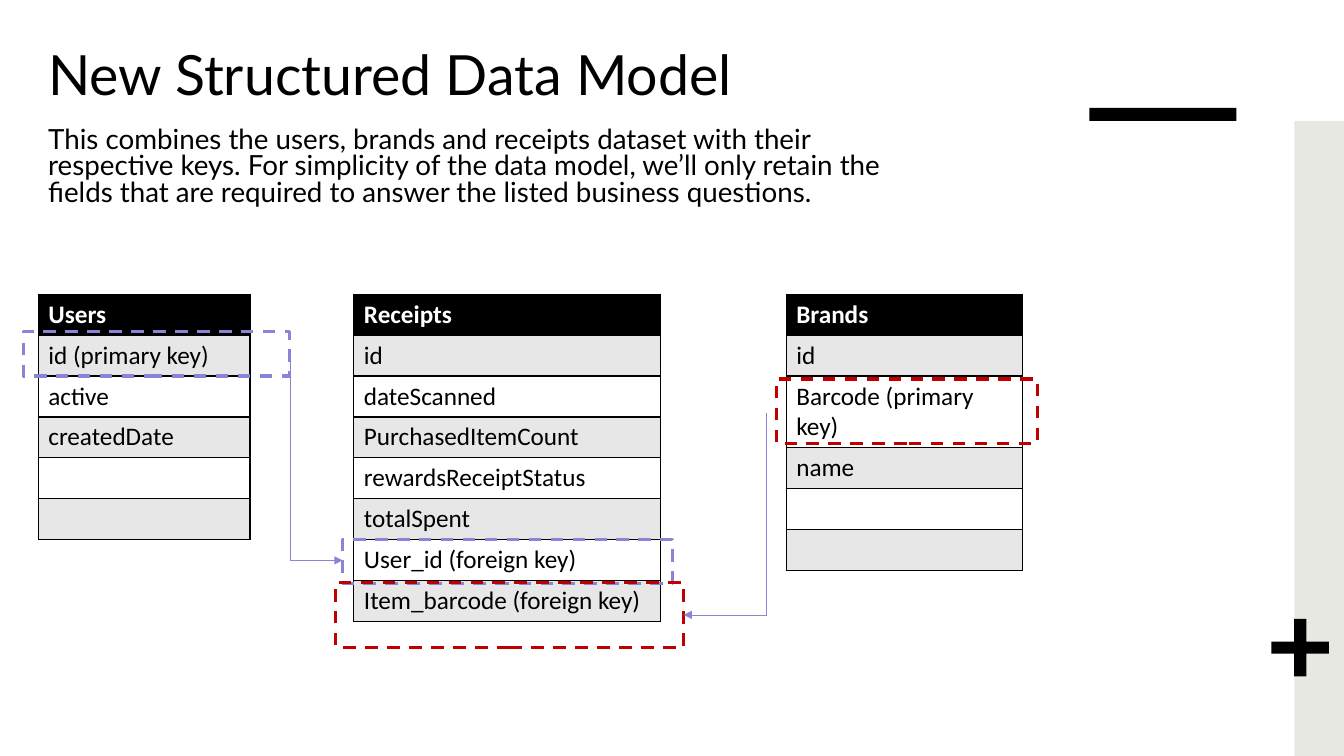
from lxml import etree
from pptx import Presentation
from pptx import util as u
from pptx.dml.color import RGBColor
from pptx.enum import dml, shapes, text
from pptx.oxml.ns import qn

WIDTH, HEIGHT = u.Inches(13.33), u.Inches(7.5)
ROW = 5.41
BLACK, WHITE, BAND, PANEL = "000000", "FFFFFF", "E7E7E7", "E8E8E2"
VIOLET, RED = "8885D7", "C00000"
TABLE_TOP = 38.93

ENTITIES = [
    (2.85, 15.75, ["Users", "id (primary key)", "active", "createdDate", "", ""]),
    (58.5, 17.55, ["Brands", "id", "Barcode (primary key)", "name", "", ""]),
    (26.33, 22.8, ["Receipts", "id", "dateScanned", "PurchasedItemCount",
                   "rewardsReceiptStatus", "totalSpent",
                   "User_id (foreign key)", "Item_barcode (foreign key)"]),
]
KEYS = [
    ((1.73, 43.87, 19.8, 5.87), VIOLET),
    ((25.5, 71.33, 24.53, 5.87), VIOLET),
    ((24.98, 77.07, 25.88, 8.53), RED),
    ((57.76, 50.13, 19.43, 8.53), RED),
]
RELATIONS = [((21.6, 47.33), (25.5, 74.13)), ((57, 54.67), (50.86, 81.33))]


def across(share):
    return int(WIDTH * share / 100)


def down(share):
    return int(HEIGHT * share / 100)


def place(box):
    left, top, width, height = box
    return across(left), down(top), across(width), down(height)


def color(value):
    return RGBColor.from_string(value)


def apply(target, values):
    for name, value in values.items():
        setattr(target, name, value)


def paint(fill, value):
    fill.solid()
    fill.fore_color.rgb = color(value)


def write(paragraph, words, value, **font):
    run = paragraph.add_run()
    run.text = words
    apply(run.font, font)
    run.font.color.rgb = color(value)


def draw_block(slide, kind, box, fill):
    shape = slide.shapes.add_shape(kind, *place(box))
    shape.shadow.inherit = False
    shape.line.fill.background()
    paint(shape.fill, fill)
    return shape


def draw_decoration(slide, box):
    left, top, width, height = box
    kinds = shapes.MSO_SHAPE
    draw_block(slide, kinds.RECTANGLE, (left, top, 10.95, 1.73), BLACK)
    draw_block(slide, kinds.RECTANGLE,
               (left + width - 3.7, top + 1.73, 3.7, height - 1.73), PANEL)
    plus = draw_block(slide, kinds.CROSS,
                      (left + width - 5.4, top + 67.6, 4.28, 7.6), BLACK)
    plus.adjustments[0] = 0.395


def draw_heading(slide, box):
    left, top, width, height = box
    lines = [
        (0, "New Structured Data Model", 39.6, 1.0),
        (11.6, "This combines the users, brands and receipts dataset with their "
               "respective keys. For simplicity of the data model, we’ll only retain "
               "the fields that are required to answer the listed business questions.",
         19.8, 0.8),
    ]
    for offset, words, size, spacing in lines:
        shape = slide.shapes.add_textbox(*place((left, top + offset, width, height - 11.6)))
        apply(shape.text_frame, {"word_wrap": True, "auto_size": text.MSO_AUTO_SIZE.NONE,
                                 "vertical_anchor": text.MSO_ANCHOR.TOP})
        paragraph = shape.text_frame.paragraphs[0]
        paragraph.line_spacing = spacing
        write(paragraph, words, BLACK, size=u.Pt(size), name="Lato")


def draw_borders(cell):
    properties = cell._tc.get_or_add_tcPr()
    for index, side in enumerate(("a:lnL", "a:lnR", "a:lnT", "a:lnB")):
        line = etree.Element(qn(side), w=str(u.Pt(1)))
        fill = etree.SubElement(line, qn("a:solidFill"))
        etree.SubElement(fill, qn("a:srgbClr"), val=BLACK)
        properties.insert(index, line)


def draw_entity(slide, box, rows):
    table = slide.shapes.add_table(len(rows), 1, *place(box)).table
    for index, words in enumerate(rows):
        table.rows[index].height = down(ROW)
        cell = table.cell(index, 0)
        header = index == 0
        paint(cell.fill, BLACK if header else BAND if index % 2 else WHITE)
        draw_borders(cell)
        paragraph = cell.text_frame.paragraphs[0]
        paragraph.font.size = u.Pt(18)
        if words:
            write(paragraph, words, WHITE if header else BLACK,
                  size=u.Pt(18), name="Calibri", bold=header)


def draw_key(slide, box, value):
    shape = slide.shapes.add_shape(shapes.MSO_SHAPE.RECTANGLE, *place(box))
    shape.shadow.inherit = False
    shape.fill.background()
    shape.line.color.rgb = color(value)
    apply(shape.line, {"width": u.Pt(2.25), "dash_style": dml.MSO_LINE.DASH})


def draw_relation(slide, start, end):
    x1, y1, x2, y2 = across(start[0]), down(start[1]), across(end[0]), down(end[1])
    length, breadth = abs(y2 - y1), abs(x2 - x1)
    left, top = (x1 + x2 - length) // 2, (y1 + y2 - breadth) // 2
    connector = slide.shapes.add_connector(
        shapes.MSO_CONNECTOR.ELBOW, left, top, left + length, top + breadth)
    connector.line.color.rgb = color(VIOLET)
    connector.line.width = u.Pt(0.5)
    properties = connector._element.spPr
    properties.find(qn("a:prstGeom")).set("prst", "bentConnector2")
    frame = properties.find(qn("a:xfrm"))
    rightward = x2 > x1
    frame.set("rot", str((270 if rightward else 90) * 60000))
    if rightward:
        frame.set("flipH", "1")
    etree.SubElement(properties.find(qn("a:ln")), qn("a:tailEnd"), type="triangle")
    etree.SubElement(properties, qn("a:effectLst"))


def main():
    presentation = Presentation()
    apply(presentation, {"slide_width": WIDTH, "slide_height": HEIGHT})
    slide = presentation.slides.add_slide(presentation.slide_layouts[6])
    draw_decoration(slide, (81.05, 14.27, 18.95, 85.73))
    draw_heading(slide, (2.85, 4.67, 67.82, 24.13))
    for left, width, rows in ENTITIES:
        draw_entity(slide, (left, TABLE_TOP, width, ROW * len(rows)), rows)
    for box, value in KEYS:
        draw_key(slide, box, value)
    for start, end in RELATIONS:
        draw_relation(slide, start, end)
    presentation.save("out.pptx")


if __name__ == "__main__":
    main()
